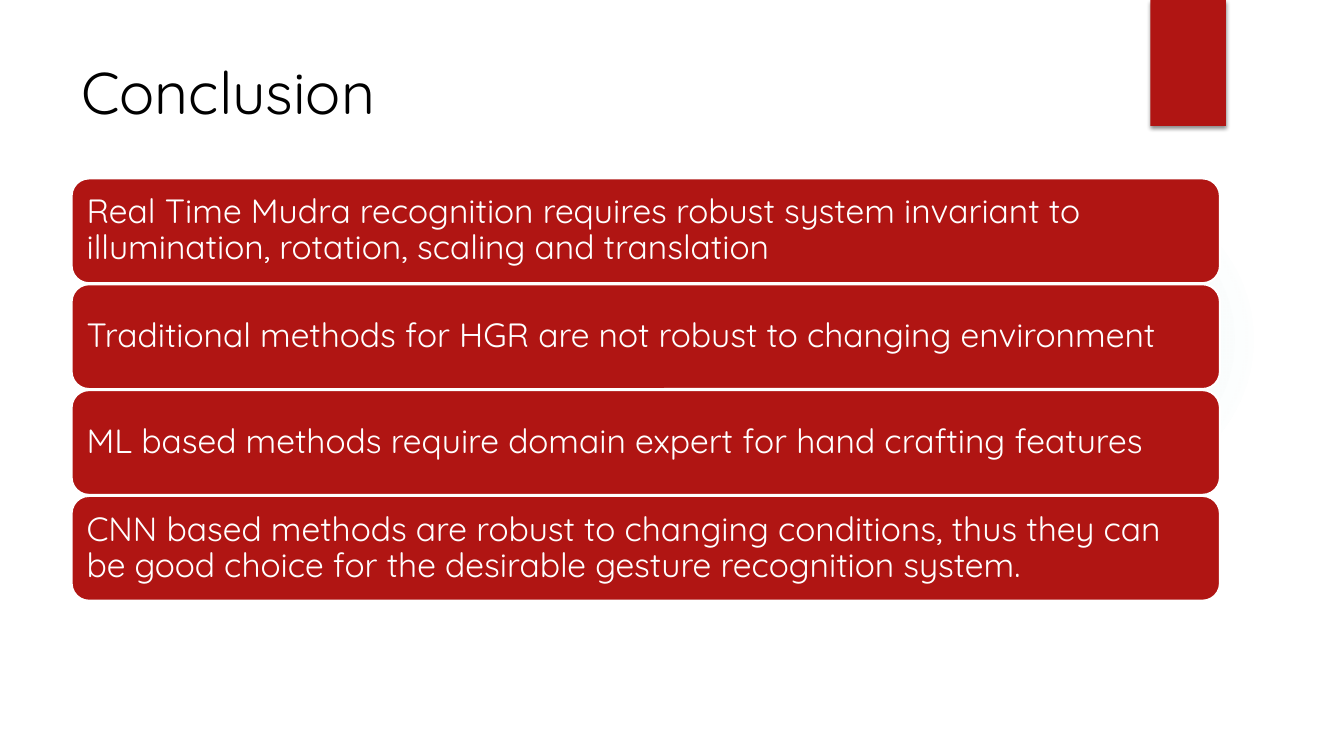
"""Build the conclusion slide with four stacked statement cards."""
from dataclasses import dataclass

import lxml.etree
import pptx
import pptx.dml.color
import pptx.enum.shapes
import pptx.enum.text
import pptx.oxml
import pptx.oxml.ns
import pptx.util

PX = 9144
SHAPES = pptx.enum.shapes.MSO_SHAPE
CARD_LEFT, CARD_TOP, CARD_WIDTH, CARD_HEIGHT, CARD_PITCH = 71, 177, 1139, 104, 105
STATEMENTS = [
    "Real Time Mudra recognition requires robust system invariant to "
    "illumination, rotation, scaling and translation",
    "Traditional methods for HGR are not robust to changing environment",
    "ML based methods require domain expert for hand crafting features",
    "CNN based methods are robust to changing conditions, thus they can "
    "be good choice for the desirable gesture recognition system.",
]


@dataclass(frozen=True)
class Theme:
    """Colours, font and type sizes of the slide."""
    accent: str = "B01513"
    glow: str = "50B9C1"
    paper: str = "FFFFFF"
    ink: str = "000000"
    font: str = "Quicksand"
    title_size: int = 42
    card_size: int = 24


THEME = Theme()


def px(*lengths):
    """Turn whole pixels into EMU lengths."""
    return [pptx.util.Emu(length * PX) for length in lengths]


def color(value):
    """Return the colour object for a hex value."""
    return pptx.dml.color.RGBColor.from_string(value)


def drawing_xml(body):
    """Parse a DrawingML fragment."""
    namespace = pptx.oxml.ns.nsdecls("a")
    return pptx.oxml.parse_xml(body.replace(">", f" {namespace}>", 1))


def add_block(slide, kind, box, fill):
    """Add a borderless, shadowless shape with a solid fill."""
    shape = slide.shapes.add_shape(kind, *px(*box))
    shape.shadow.inherit = False
    shape.fill.solid()
    shape.fill.fore_color.rgb = color(fill)
    shape.line.fill.background()
    return shape


def set_text(shape, text, size, fill, inset_x, inset_y):
    """Write left-aligned, vertically centred text and return its paragraph."""
    frame = shape.text_frame
    frame.text = text
    frame.word_wrap = True
    frame.vertical_anchor = pptx.enum.text.MSO_ANCHOR.MIDDLE
    frame.margin_left, frame.margin_right = px(inset_x, inset_x)
    frame.margin_top, frame.margin_bottom = px(inset_y, inset_y)
    paragraph = frame.paragraphs[0]
    paragraph.alignment = pptx.enum.text.PP_ALIGN.LEFT
    font = paragraph.runs[0].font
    font.name = THEME.font
    font.size = pptx.util.Pt(size)
    font.color.rgb = color(fill)
    return paragraph


def add_glow(slide, box):
    """Add a faint circle that fades out from its centre."""
    glow = add_block(slide, SHAPES.OVAL, box, THEME.glow)
    stops = "".join(
        f'<a:gs pos="{position * 1000}"><a:srgbClr val="{THEME.glow}">'
        f'<a:alpha val="{alpha * 1000}"/></a:srgbClr></a:gs>'
        for position, alpha in ((0, 7), (36, 6), (69, 0))
    )
    gradient = drawing_xml(
        f'<a:gradFill><a:gsLst>{stops}</a:gsLst><a:path path="circle">'
        '<a:fillToRect l="50000" t="50000" r="50000" b="50000"/>'
        "</a:path></a:gradFill>"
    )
    properties = glow.element.spPr
    properties.replace(properties.find(pptx.oxml.ns.qn("a:solidFill")), gradient)


def add_ribbon(slide, box):
    """Add the corner ribbon with its soft shadow below."""
    ribbon = add_block(slide, SHAPES.RECTANGLE, box, THEME.accent)
    shadow = drawing_xml(
        f'<a:outerShdw blurRad="{pptx.util.Pt(3)}" dist="{pptx.util.Pt(2)}" '
        f'dir="5400000" rotWithShape="0"><a:srgbClr val="{THEME.ink}">'
        '<a:alpha val="45000"/></a:srgbClr></a:outerShdw>'
    )
    ribbon.element.spPr.find(pptx.oxml.ns.qn("a:effectLst")).append(shadow)


def add_title(slide, box, text):
    """Add the slide heading."""
    title = slide.shapes.add_textbox(*px(*box))
    set_text(title, text, THEME.title_size, THEME.ink, 10, 5)


def add_card(slide, box, text):
    """Add a rounded card holding one statement."""
    card = add_block(slide, SHAPES.ROUNDED_RECTANGLE, box, THEME.accent)
    card.line.color.rgb = color(THEME.paper)
    card.line.width = pptx.util.Pt(1.5)
    paragraph = set_text(card, text, THEME.card_size, THEME.paper, 10, 10)
    paragraph.line_spacing = 0.9


def main():
    """Build and save the slide."""
    presentation = pptx.Presentation()
    presentation.slide_width, presentation.slide_height = px(1333, 750)
    slide = presentation.slides.add_slide(presentation.slide_layouts[6])
    add_glow(slide, (941, 183, 308, 308))
    add_ribbon(slide, (1141, 0, 75, 125))
    add_title(slide, (71, 50, 1024, 80), "Conclusion")
    for index, statement in enumerate(STATEMENTS):
        top = CARD_TOP + index * CARD_PITCH
        add_card(slide, (CARD_LEFT, top, CARD_WIDTH, CARD_HEIGHT), statement)
    presentation.save("out.pptx")


if __name__ == "__main__":
    main()
